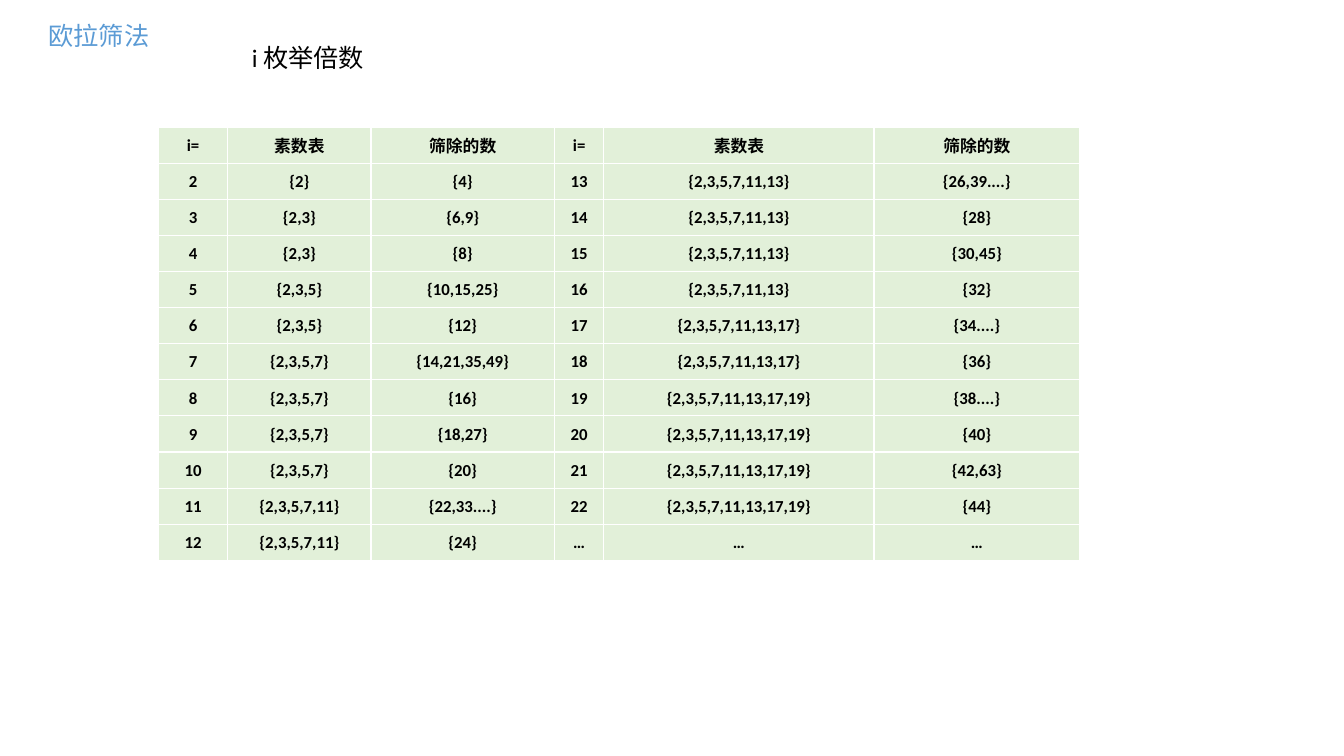
"""Build a slide tabulating the steps of Euler's sieve."""
from lxml.etree import SubElement
from pptx import Presentation
from pptx.dml.color import RGBColor
from pptx.enum.text import MSO_ANCHOR as Anchor, MSO_AUTO_SIZE as AutoSize, PP_ALIGN as Align
from pptx.oxml.ns import qn
from pptx.util import Inches, Pt


def color(value):
    return RGBColor.from_string(value)


def style_text(frame, size, hue, align, bold=False):
    para = frame.paragraphs[0]
    para.alignment = align
    for span in para.runs:
        span.font.name = "Calibri"
        span.font.size = Pt(size)
        span.font.bold = bold
        span.font.color.rgb = color(hue)


deck = Presentation()
deck.slide_width, deck.slide_height = Inches(13.33), Inches(7.5)
page = deck.slides.add_slide(deck.slide_layouts[5])

title = page.shapes.title
title.left, title.top, title.width, title.height = [Inches(n) for n in (0.38, 0.15, 1.93, 0.4)]
subtitle = page.shapes.add_textbox(Inches(2.4), Inches(0.37), Inches(2.78), Inches(0.4))
for box, text, hue in ((title, "欧拉筛法", "5B9BD5"), (subtitle, "i 枚举倍数", "000000")):
    frame = box.text_frame
    frame.text = text
    frame.word_wrap = True
    frame.auto_size = AutoSize.SHAPE_TO_FIT_TEXT
    frame.vertical_anchor = Anchor.TOP
    style_text(frame, 18, hue, Align.LEFT)

primes = [2, 3, 5, 7, 11, 13, 17, 19]
removed = [
    "4", "6,9", "8", "10,15,25", "12", "14,21,35,49", "16", "18,27", "20", "22,33....", "24",
    "26,39....", "28", "30,45", "32", "34....", "36", "38....", "40", "42,63", "44",
]
steps = []
for i, numbers in enumerate(removed, start=2):
    found = ",".join(str(prime) for prime in primes if prime <= i)
    steps.append([str(i), f"{{{found}}}", f"{{{numbers}}}"])
steps.append(["…"] * 3)

half = len(steps) // 2
rows = [["i=", "素数表", "筛除的数"] * 2]
rows += [left + right for left, right in zip(steps[:half], steps[half:])]
widths = [0.69, 1.42, 1.82, 0.49, 2.68, 2.04]

table = page.shapes.add_table(
    len(rows), len(widths), Inches(1.57), Inches(1.26), Inches(9.13), Inches(4.3)
).table
for column, width in zip(table.columns, widths):
    column.width = Inches(width)

for row, texts in zip(table.rows, rows):
    for cell, text in zip(row.cells, texts):
        cell.text = text
        style_text(cell.text_frame, 12, "000000", Align.CENTER, bold=True)
        cell.vertical_anchor = Anchor.MIDDLE
        cell.margin_left = cell.margin_right = cell.margin_top = Inches(0.01)
        cell.margin_bottom = 0
        properties = cell._tc.get_or_add_tcPr()
        for side in ("a:lnL", "a:lnR", "a:lnT", "a:lnB"):
            border = SubElement(properties, qn(side), w=str(Pt(1)))
            SubElement(SubElement(border, qn("a:solidFill")), qn("a:srgbClr"), val="FFFFFF")
        cell.fill.solid()
        cell.fill.fore_color.rgb = color("E2F0D9")

deck.save("out.pptx")
